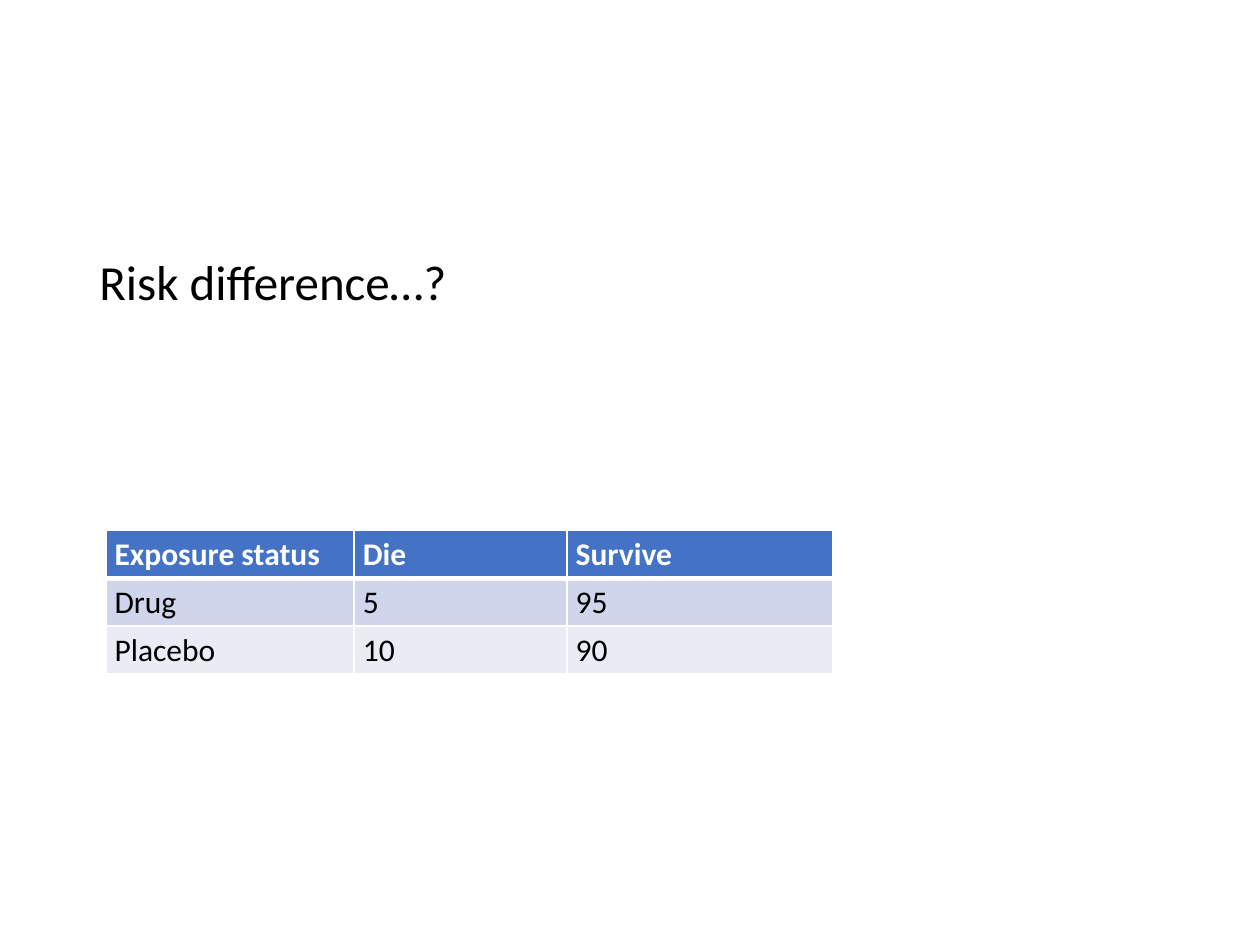
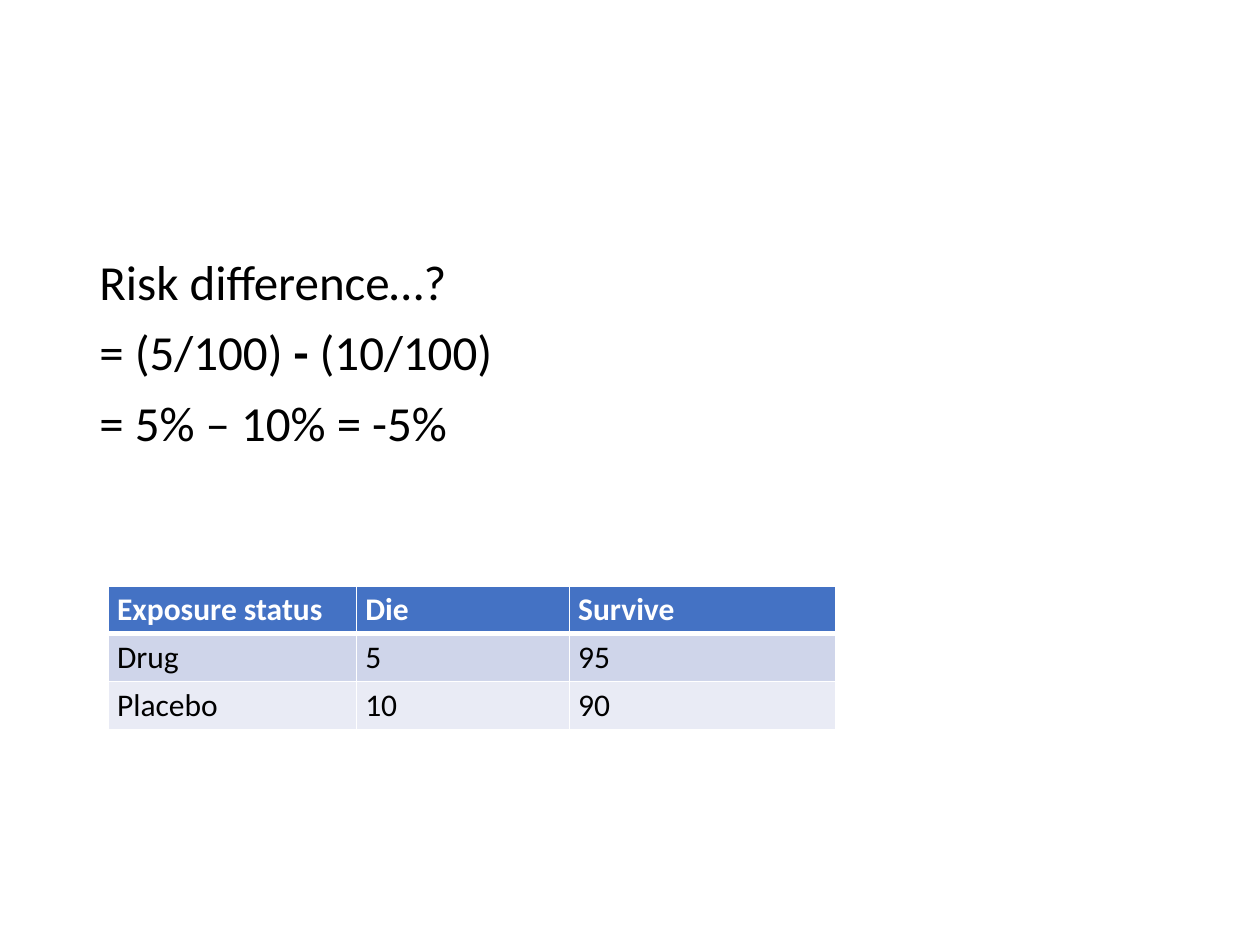
import pptx
import pptx.dml.color
import pptx.oxml
import pptx.oxml.ns
import pptx.util

COLS, ROWS = 100, 75
HUES = {"ink": "000000", "paper": "FFFFFF", "head": "4472C4",
        "odd": "CFD5EA", "even": "E9EBF5"}
RISKS = [("Exposure status", "Die", "Survive"),
         ("Drug", "5", "95"),
         ("Placebo", "10", "90")]
ASK = [("Risk difference…?", False)]
SUM = [("= (5/100) ", False), ("-", True), (" (10/100)", False)]
ANSWER = [("= 5% – 10% = -5%", False)]


class Deck:
    font = "Calibri"
    body = (6.9, 20, 86.2, 47.6)
    widths = (19.7, 16.9, 21.1)
    tall = 3.74

    def __init__(self):
        self.file = pptx.Presentation()
        self.file.slide_width = pptx.util.Inches(10)
        self.file.slide_height = pptx.util.Inches(7.5)
        self.slide = None

    def x(self, cols):
        return round(self.file.slide_width * cols / COLS)

    def y(self, rows):
        return round(self.file.slide_height * rows / ROWS)

    def hue(self, name):
        return pptx.dml.color.RGBColor.from_string(HUES[name])

    def page(self):
        self.slide = self.file.slides.add_slide(self.file.slide_layouts[6])
        fill = self.slide.background.fill
        fill.solid()
        fill.fore_color.rgb = self.hue("paper")

    def run(self, para, text, size, hue="ink", bold=False):
        run = para.add_run()
        run.text = text
        run.font.name = self.font
        run.font.size = pptx.util.Pt(size)
        run.font.bold = bold
        run.font.color.rgb = self.hue(hue)

    def text(self, lines):
        """Write lines, each a list of (text, bold) runs, in the body area."""
        left, top, width, height = self.body
        box = self.slide.shapes.add_textbox(
            self.x(left), self.y(top), self.x(width), self.y(height))
        frame = box.text_frame
        frame.word_wrap = True
        for i, line in enumerate(lines):
            para = frame.add_paragraph() if i else frame.paragraphs[0]
            para.line_spacing = 0.9
            para.space_before = pptx.util.Pt(10)
            for part, bold in line:
                self.run(para, part, 28, bold=bold)

    def edge(self, cell, **sides):
        """Draw cell borders; sides maps L, R, T, B to widths in points."""
        props = cell._tc.get_or_add_tcPr()
        for i, (side, width) in enumerate(sides.items()):
            props.insert(i, pptx.oxml.parse_xml(
                f'<a:ln{side} {pptx.oxml.ns.nsdecls("a")} '
                f'w="{pptx.util.Pt(width)}"><a:solidFill>'
                f'<a:srgbClr val="{HUES["paper"]}"/></a:solidFill></a:ln{side}>'))

    def cell(self, cell, text, row):
        head = row == 0
        cell.margin_left = cell.margin_right = pptx.util.Inches(0.07)
        cell.margin_top = cell.margin_bottom = pptx.util.Inches(0.04)
        cell.fill.solid()
        cell.fill.fore_color.rgb = self.hue(
            "head" if head else "odd" if row % 2 else "even")
        self.edge(cell, L=1, R=1, T=3 if row == 1 else 1, B=3 if head else 1)
        self.run(cell.text_frame.paragraphs[0], text, 18,
                 "paper" if head else "ink", head)

    def table(self, left, top, data):
        grid = self.slide.shapes.add_table(
            len(data), len(self.widths), self.x(left), self.y(top),
            self.x(sum(self.widths)), self.y(self.tall * len(data))).table
        for col, width in zip(grid.columns, self.widths):
            col.width = self.x(width)
        for r, line in enumerate(data):
            for c, text in enumerate(line):
                self.cell(grid.cell(r, c), text, r)


def main():
    deck = Deck()
    for lines, left, top in (([ASK], 8.4, 42.1),
                             ([ASK, SUM, ANSWER], 8.6, 46.5)):
        deck.page()
        deck.text(lines)
        deck.table(left, top, RISKS)
    deck.file.save("out.pptx")


if __name__ == "__main__":
    main()
